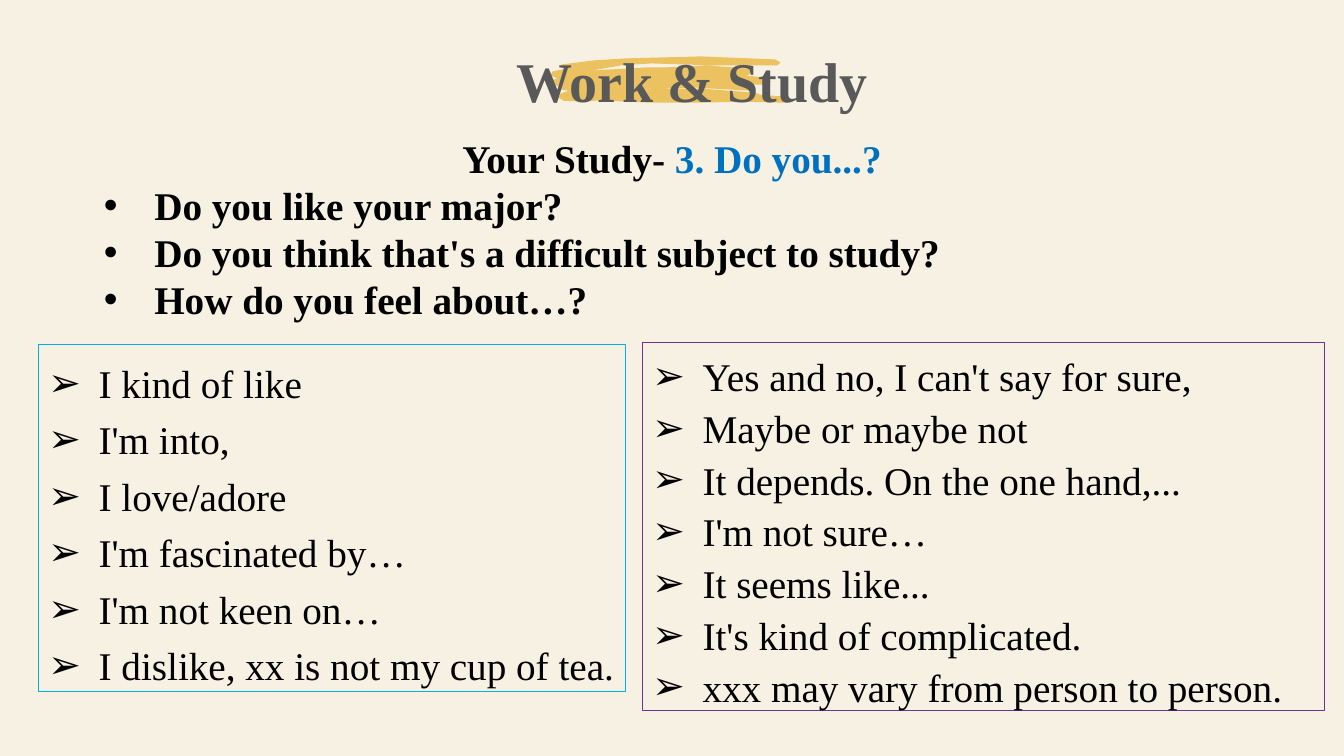
import pptx
import pptx.dml.color
import pptx.enum.shapes
import pptx.enum.text
import pptx.util
from lxml import etree
from pptx.oxml.ns import qn
from pptx.util import Inches

COLORS = {
    "paper": "F7F1E4",
    "brush": "ECC261",
    "title": "595959",
    "ink": "000000",
    "topic": "0070C0",
    "likes": "00B0F0",
    "hedges": "7030A0",
}
FONT = "Times New Roman"
QUESTIONS = [
    "Do you like your major?",
    "Do you think that's a difficult subject to study?",
    "How do you feel about…?",
]
LIKES = [
    "I kind of like",
    "I'm into,",
    "I love/adore",
    "I'm fascinated by…",
    "I'm not keen on…",
    "I dislike, xx is not my cup of tea.",
]
HEDGES = [
    "Yes and no, I can't say for sure,",
    "Maybe or maybe not",
    "It depends. On the one hand,...",
    "I'm not sure…",
    "It seems like...",
    "It's kind of complicated.",
    "xxx may vary from person to person.",
]
BRUSH_OUTLINE = [
    (7.79, 0.96), (7.54, 0.94), (7.49, 0.92), (6.96, 0.88), (6.5, 0.88),
    (6, 0.92), (6.45, 0.88), (6.9, 0.87), (7.43, 0.9), (7.48, 0.88),
    (7.45, 0.84), (7.6, 0.84), (7.65, 0.81), (7.59, 0.77), (7.4, 0.75),
    (7.43, 0.74), (7.47, 0.71), (7.41, 0.68), (7, 0.65), (6.58, 0.67),
    (6.4, 0.67), (5.87, 0.7), (6.16, 0.65), (6.46, 0.63), (7.09, 0.65),
    (7.71, 0.65), (7.74, 0.62), (7.69, 0.59), (6.95, 0.56), (6.21, 0.58),
    (5.89, 0.6), (5.57, 0.64), (5.56, 0.66), (5.59, 0.67), (5.67, 0.67),
    (5.48, 0.71), (5.46, 0.75), (5.53, 0.78), (5.49, 0.79), (5.48, 0.84),
    (5.56, 0.86), (5.57, 0.89), (5.64, 0.9), (5.56, 0.93), (5.54, 0.97),
    (5.59, 1), (5.8, 1.01), (6, 0.99), (6.02, 1), (6.46, 1.02),
    (6.91, 1.02), (7.36, 1.01), (7.81, 1.02), (7.84, 0.99),
]


def color(name):
    return pptx.dml.color.RGBColor.from_string(COLORS[name])


def place(shape, left, top, width, height):
    shape.left, shape.top = Inches(left), Inches(top)
    shape.width, shape.height = Inches(width), Inches(height)


def style(paragraph, size, ink, bold, align, spacing=1.0):
    paragraph.alignment = align
    paragraph.line_spacing = spacing
    paragraph.space_before = pptx.util.Pt(0)
    font = paragraph.font
    font.name, font.size, font.bold = FONT, pptx.util.Pt(size), bold
    if ink:
        font.color.rgb = color(ink)


def set_bullet(paragraph, mark):
    """Give a half-inch hanging bullet, or none when mark is empty."""
    properties = paragraph._p.get_or_add_pPr()
    indent = Inches(0.5) if mark else 0
    properties.set("marL", str(indent))
    properties.set("indent", str(-indent))
    if mark:
        etree.SubElement(properties, qn("a:buFont")).set("typeface", "Arial")
        etree.SubElement(properties, qn("a:buChar")).set("char", mark)
    else:
        etree.SubElement(properties, qn("a:buNone"))


def add_item(paragraph, text, mark, bold=False, spacing=1.0):
    paragraph.text = text
    set_bullet(paragraph, mark)
    style(paragraph, 28, "ink", bold, pptx.enum.text.PP_ALIGN.LEFT, spacing)


def add_title(slide):
    title = slide.shapes.title
    place(title, 5.02, 0.41, 3.69, 0.77)
    frame = title.text_frame
    frame.text = "Work & Study"
    frame.word_wrap = False
    frame.auto_size = pptx.enum.text.MSO_AUTO_SIZE.NONE
    style(frame.paragraphs[0], 40, "title", True, pptx.enum.text.PP_ALIGN.CENTER)


def add_brush_stroke(slide):
    """Draw the brush mark and put it behind the title."""
    start, *rest = [(Inches(x), Inches(y)) for x, y in BRUSH_OUTLINE]
    builder = slide.shapes.build_freeform(*start)
    builder.add_line_segments(rest, close=True)
    brush = builder.convert_to_shape()
    brush.shadow.inherit = False
    brush.fill.solid()
    brush.fill.fore_color.rgb = color("brush")
    brush.line.fill.background()
    slide.shapes.title._element.addprevious(brush._element)


def add_questions(slide):
    body = slide.placeholders[1]
    place(body, 0.93, 1.28, 11.47, 2.09)
    frame = body.text_frame
    frame.auto_size = pptx.enum.text.MSO_AUTO_SIZE.NONE
    frame.vertical_anchor = pptx.enum.text.MSO_ANCHOR.TOP
    heading = frame.paragraphs[0]
    set_bullet(heading, "")
    for text, ink in (("Your Study- ", "ink"), ("3. Do you...?", "topic")):
        run = heading.add_run()
        run.text = text
        run.font.color.rgb = color(ink)
    style(heading, 28, None, True, pptx.enum.text.PP_ALIGN.CENTER)
    for question in QUESTIONS:
        add_item(frame.add_paragraph(), question, "•", bold=True)


def add_answer_box(slide, answers, border, bounds, spacing):
    box = slide.shapes.add_shape(
        pptx.enum.shapes.MSO_SHAPE.RECTANGLE, *map(Inches, bounds))
    box.shadow.inherit = False
    box.fill.background()
    box.line.color.rgb = color(border)
    box.line.width = pptx.util.Pt(0.75)
    frame = box.text_frame
    frame.word_wrap = True
    frame.vertical_anchor = pptx.enum.text.MSO_ANCHOR.TOP
    for index, answer in enumerate(answers):
        paragraph = frame.add_paragraph() if index else frame.paragraphs[0]
        add_item(paragraph, answer, "➢", spacing=spacing)


def main():
    deck = pptx.Presentation()
    deck.slide_width, deck.slide_height = Inches(13.33), Inches(7.5)
    slide = deck.slides.add_slide(deck.slide_layouts[1])
    slide.background.fill.solid()
    slide.background.fill.fore_color.rgb = color("paper")
    add_title(slide)
    add_brush_stroke(slide)
    add_questions(slide)
    add_answer_box(slide, HEDGES, "hedges", (6.37, 3.4, 6.77, 3.65), 1.1)
    add_answer_box(slide, LIKES, "likes", (0.38, 3.42, 5.82, 3.44), 1.2)
    deck.save("out.pptx")


if __name__ == "__main__":
    main()
